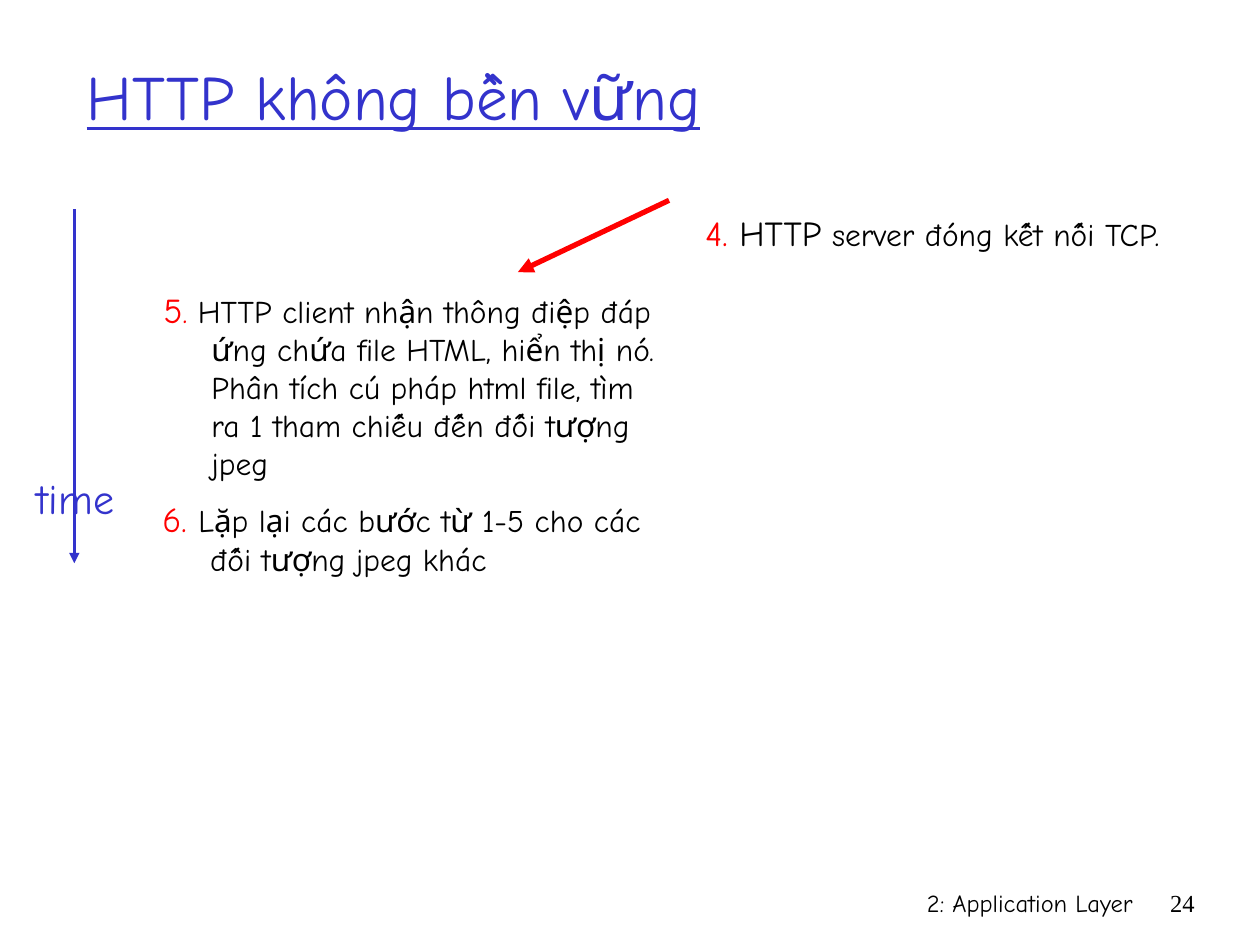
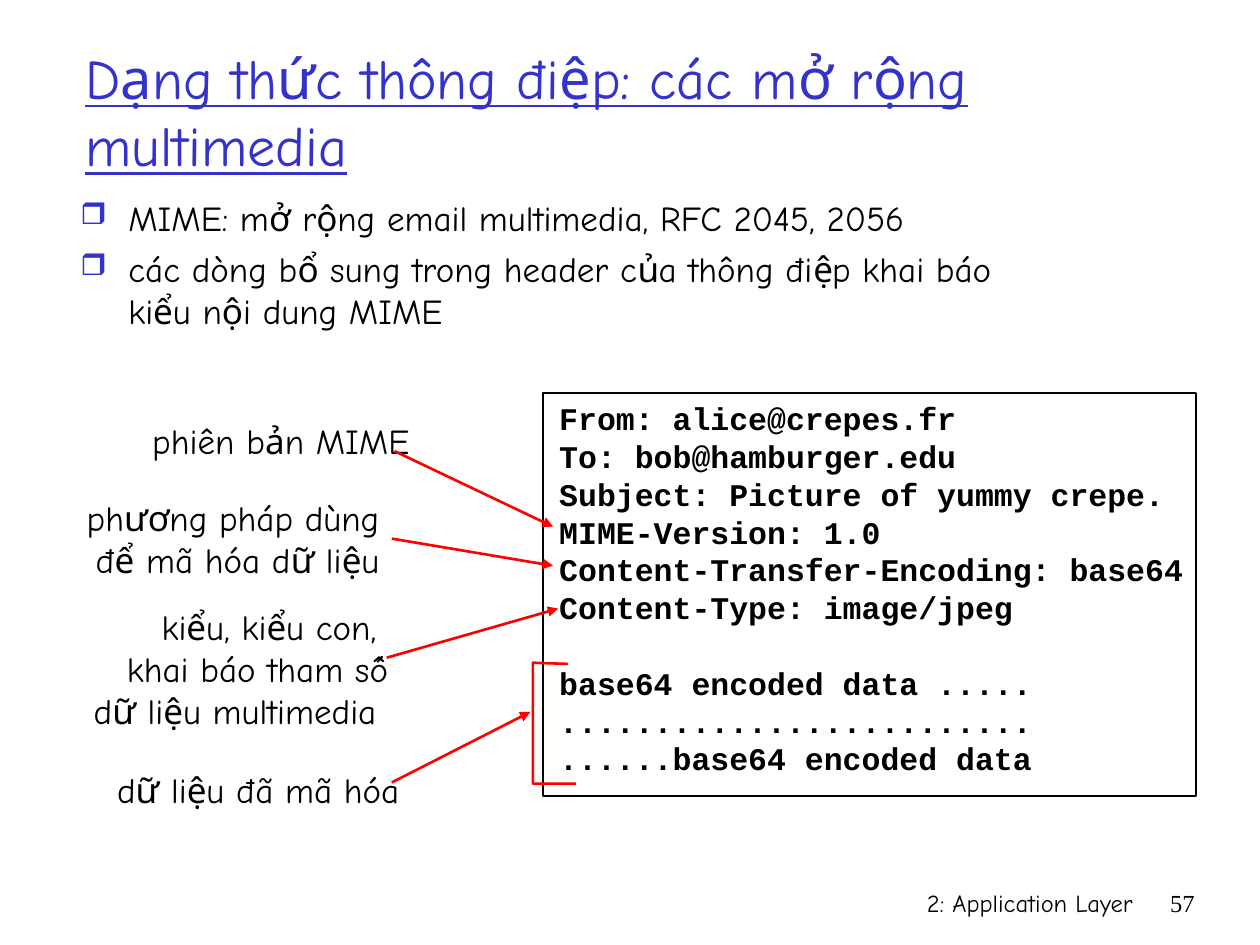
from lxml import etree
from pptx import Presentation
from pptx.dml.color import RGBColor
from pptx.enum.shapes import MSO_CONNECTOR, MSO_SHAPE
from pptx.enum.text import MSO_ANCHOR, MSO_AUTO_SIZE, PP_ALIGN
from pptx.oxml.ns import qn
from pptx.util import Inches, Pt

STRAIGHT = MSO_CONNECTOR.STRAIGHT
RECTANGLE = MSO_SHAPE.RECTANGLE
TOP, MIDDLE = MSO_ANCHOR.TOP, MSO_ANCHOR.MIDDLE
LEFT, CENTER, RIGHT = PP_ALIGN.LEFT, PP_ALIGN.CENTER, PP_ALIGN.RIGHT
GROW = MSO_AUTO_SIZE.SHAPE_TO_FIT_TEXT

# Shared style
COLUMNS, ROWS = 10, 7.5
BLUE, RED, BLACK = "3333CC", "FF0000", "000000"
HAND, CODE, SERIF = "Comic Neue", "Courier New", "Times New Roman"
HANGING = 0.38
RIGHT_SIDE = 3


def color(hex_code):
    return RGBColor.from_string(hex_code)


def add_child(parent, tag, **attributes):
    return etree.SubElement(parent, qn(tag), attributes)


def add_bullet(properties):
    tint = add_child(properties, "a:buClr")
    add_child(tint, "a:srgbClr", val=BLUE)
    add_child(properties, "a:buSzPct", val="85000")
    add_child(properties, "a:buChar", char="❒")


def format_span(span, size=20, font=HAND, tint=BLACK, bold=False, underline=False):
    span.font.size = Pt(size)
    span.font.name = font
    span.font.color.rgb = color(tint)
    span.font.bold = bold
    span.font.underline = underline


class Board:
    """Holds the deck, its grid and the slide being filled."""

    def __init__(self):
        self.deck = Presentation()
        self.deck.slide_width, self.deck.slide_height = Inches(10), Inches(7.5)
        self.column = self.deck.slide_width / COLUMNS
        self.row = self.deck.slide_height / ROWS

    def place(self, *lengths):
        """Turn alternating columns and rows into slide lengths."""
        return [round(length * (self.row if index % 2 else self.column))
                for index, length in enumerate(lengths)]

    def start(self, title, number, area, size):
        self.page = self.deck.slides.add_slide(self.deck.slide_layouts[6])
        self.text((5.92, 7, 3.17, 0.5), ["2: Application Layer"], align=RIGHT, size=14)
        self.text((9.08, 7, 0.5, 0.5), [str(number)], align=RIGHT, size=14, font=SERIF)
        self.text(area, [title], anchor=MIDDLE, size=size, tint=BLUE, underline=True)

    def text(self, area, paragraphs, align=LEFT, anchor=TOP, wrap=True,
             hanging=0, bullet=False, gaps=None, **style):
        """Each paragraph is a string or a list of (string, style) spans;
        gaps maps a paragraph's index to the points before it."""
        box = self.page.shapes.add_textbox(*self.place(*area))
        frame = box.text_frame
        frame.word_wrap = wrap
        frame.vertical_anchor = anchor
        if not wrap:
            # Unwrapped labels widen with their text
            frame.auto_size = GROW
        for index, content in enumerate(paragraphs):
            para = frame.paragraphs[0] if index == 0 else frame.add_paragraph()
            para.alignment = align
            if gaps and index in gaps:
                para.space_before = Pt(gaps[index])
            properties = para._p.get_or_add_pPr()
            if hanging:
                properties.set("marL", str(Inches(hanging)))
                properties.set("indent", str(-Inches(hanging)))
            if bullet:
                add_bullet(properties)
            spans = [(content, {})] if isinstance(content, str) else content
            for words, changes in spans:
                span = para.add_run()
                span.text = words
                format_span(span, **{**style, **changes})
        return box

    def arrow(self, start, end, tint=RED, width=1.5, source=None):
        line = self.page.shapes.add_connector(STRAIGHT, *self.place(*start, *end))
        if source is not None:
            line.begin_connect(source, RIGHT_SIDE)
        line.line.color.rgb = color(tint)
        line.line.width = Pt(width)
        properties = line.element.spPr
        add_child(properties.find(qn("a:ln")), "a:tailEnd", type="triangle")
        add_child(properties, "a:effectLst")

    def outline(self, shape, tint, width):
        shape.shadow.inherit = False
        shape.fill.background()
        shape.line.color.rgb = color(tint)
        shape.line.width = Pt(width)

    def frame(self, area):
        self.outline(self.page.shapes.add_shape(RECTANGLE, *self.place(*area)), BLACK, 1)

    def bracket(self, *points):
        first, *others = [self.place(*point) for point in points]
        builder = self.page.shapes.build_freeform(*first)
        builder.add_line_segments(others, close=False)
        self.outline(builder.convert_to_shape(), RED, 1.5)


def build_connection_page(board):
    board.start("HTTP không bền vững", 24, (0.59, 0.28, 8.5, 0.95), 36)
    number, small = {"tint": RED}, {"size": 18}

    # Numbered steps
    steps = [
        ((1.2, 2.24, 4.17, 1.68),
         [("5", number), (".", {**number, **small}),
          (" HTTP client nhận thông điệp đáp ứng chứa file HTML, hiển thị nó. "
           "Phân tích cú pháp html file, tìm ra 1 tham chiếu đến đối tượng jpeg", small)]),
        ((1.19, 3.9, 4.17, 0.73),
         [("6. ", number), ("Lặp lại các bước từ 1-5 cho các đối tượng jpeg khác", small)]),
        ((5.5, 1.63, 4.17, 0.8),
         [("4.", number), (" HTTP", {}), (" server đóng kết nối TCP.", small)]),
    ]
    for area, spans in steps:
        board.text(area, [spans], hanging=HANGING)

    # Time axis and server reply
    board.arrow((0.59, 1.66), (0.59, 4.47), tint=BLUE)
    board.text((0.15, 3.7, 0.9, 0.5), ["time"], align=CENTER, wrap=False, size=24, tint=BLUE)
    board.arrow((5.31, 1.59), (4.11, 2.16), width=3)


def build_mime_page(board):
    board.start("Dạng thức thông điệp: các mở rộng multimedia", 57,
                (0.58, 0.25, 9.17, 1.25), 32)
    board.text((0.54, 1.51, 8.01, 5.08),
               ["MIME: mở rộng email multimedia, RFC 2045, 2056",
                "các dòng bổ sung trong header của thông điệp khai báo kiểu nội dung MIME"],
               hanging=HANGING, bullet=True, gaps={1: 5})

    # Message, with one line's gap between header and body
    header = ["From: alice@crepes.fr", "To: bob@hamburger.edu",
              "Subject: Picture of yummy crepe.", "MIME-Version: 1.0",
              "Content-Transfer-Encoding: base64", "Content-Type: image/jpeg"]
    body = ["base64 encoded data .....", "." * 25, "......base64 encoded data"]
    board.text((4.34, 3.12, 5.44, 3.4), header + body, gaps={len(header): 21.6},
               size=18, font=CODE, bold=True)
    board.frame((4.31, 3.12, 5.18, 3.2))

    # Labels and their arrows
    board.text((0.64, 4.76, 2.54, 1.1),
               ["kiểu, kiểu con, ", "khai báo tham số", "dữ liệu multimedia "],
               align=RIGHT, wrap=False)
    encoding = board.text((0.5, 3.89, 2.61, 0.77), ["phương pháp dùng để mã hóa dữ liệu"],
                          align=RIGHT)
    board.text((1.11, 3.28, 2.24, 0.44), ["phiên bản MIME"], align=CENTER, wrap=False)
    board.text((0.83, 6.05, 2.44, 0.44), ["dữ liệu đã mã hóa"], align=CENTER, wrap=False)
    board.arrow((3.13, 3.58), (4.39, 4.18))
    board.arrow((3.11, 4.28), (4.39, 4.49), source=encoding)
    board.arrow((3.07, 5.22), (4.43, 4.83))
    board.arrow((3.11, 6.21), (4.21, 5.65))
    board.bracket((4.51, 5.27), (4.23, 5.26), (4.23, 6.22), (4.57, 6.22))


def main():
    board = Board()
    build_connection_page(board)
    build_mime_page(board)
    board.deck.save("out.pptx")


if __name__ == "__main__":
    main()
